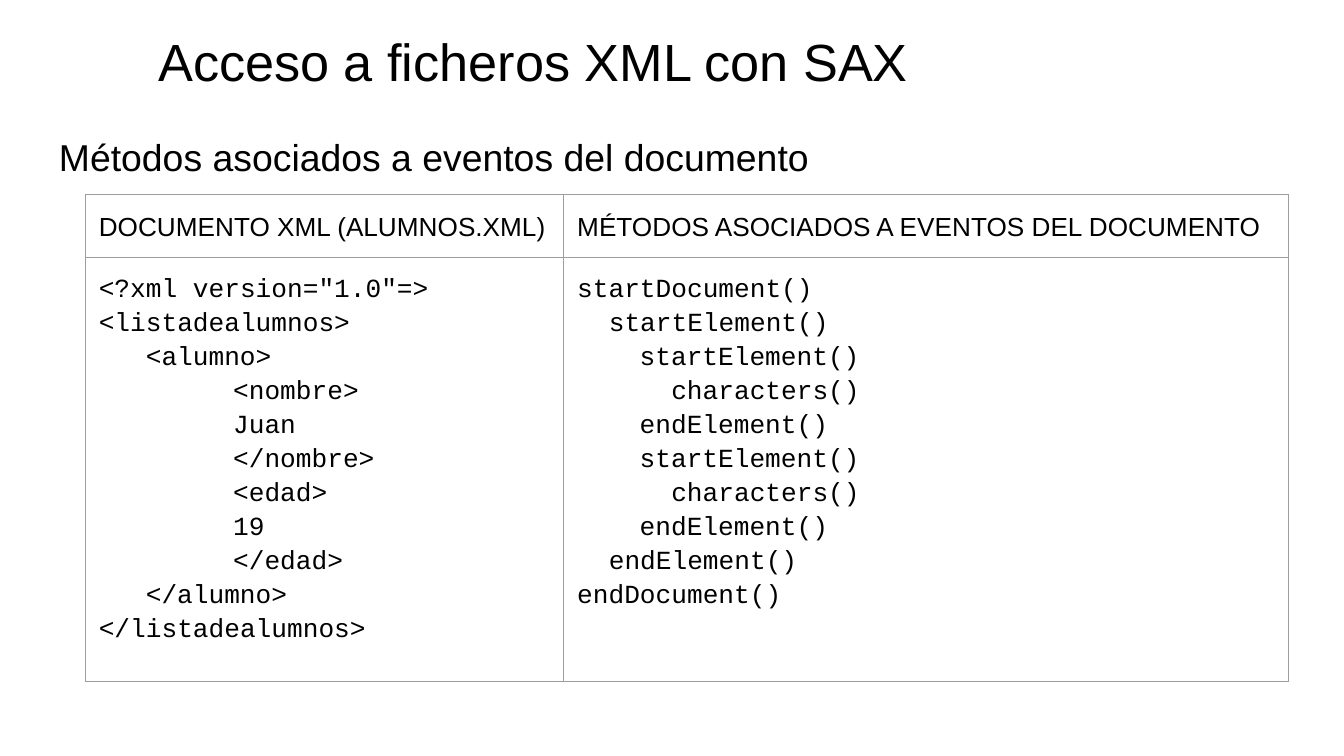
from lxml.etree import SubElement
from pptx import Presentation
from pptx.dml.color import RGBColor as Rgb
from pptx.oxml.ns import qn
from pptx.util import Pt

PX = 4572  # EMU per px, 200 px to the inch
INSET = 20
COLORS = {"text": "000000", "border": "9E9E9E"}

TITLE = "Acceso a ficheros XML con SAX"
SUBTITLE = "Métodos asociados a eventos del documento"
HEADERS = ["DOCUMENTO XML (ALUMNOS.XML)", "MÉTODOS ASOCIADOS A EVENTOS DEL DOCUMENTO"]

# Each code line is (nesting level, text)
XML_LINES = [
    (0, '<?xml version="1.0"=>'),
    (0, "<listadealumnos>"),
    (1, "<alumno>"),
    (2, "<nombre>"),
    (2, "Juan"),
    (2, "</nombre>"),
    (2, "<edad>"),
    (2, "19"),
    (2, "</edad>"),
    (1, "</alumno>"),
    (0, "</listadealumnos>"),
]
EVENT_LINES = [
    (0, "startDocument()"),
    (1, "startElement()"),
    (2, "startElement()"),
    (3, "characters()"),
    (2, "endElement()"),
    (2, "startElement()"),
    (3, "characters()"),
    (2, "endElement()"),
    (1, "endElement()"),
    (0, "endDocument()"),
]
XML_INDENTS = [0, 70, 200]
EVENT_INDENTS = [0, 47, 93, 140]
COLUMN_WIDTHS = [712, 1078]
ROW_HEIGHT = 84  # smallest height; rows grow with their text


def px(length):
    return length * PX


def write_lines(frame, lines, indents, size, font="Arial", spacing=1.15):
    """Fill a text frame with (level, text) lines, indented by level."""
    frame.word_wrap = True
    frame.text = "\n".join(text for _, text in lines)
    for para, (level, _) in zip(frame.paragraphs, lines):
        para.line_spacing = spacing
        properties = para._p.get_or_add_pPr()
        properties.set("marL", str(px(indents[level])))
        properties.set("indent", "0")
        for span in para.runs:
            span.font.size = Pt(size)
            span.font.name = font
            span.font.bold = False
            span.font.color.rgb = Rgb.from_string(COLORS["text"])


def set_margins(holder):
    for side in ("left", "top", "right", "bottom"):
        setattr(holder, f"margin_{side}", px(INSET))


def add_text(page, box, text, size, spacing):
    frame = page.shapes.add_textbox(*map(px, box)).text_frame
    set_margins(frame)
    write_lines(frame, [(0, text)], [0], size, spacing=spacing)


def style_cell(cell):
    set_margins(cell)
    properties = cell._tc.get_or_add_tcPr()
    for tag in ("a:lnL", "a:lnR", "a:lnT", "a:lnB"):
        line = SubElement(properties, qn(tag), w=str(Pt(0.75)))
        fill = SubElement(line, qn("a:solidFill"))
        SubElement(fill, qn("a:srgbClr"), val=COLORS["border"])
    cell.fill.background()


def add_event_table(page, box):
    holder = page.shapes.add_table(2, 2, *map(px, box))
    table = holder.table
    table.first_row = table.horz_banding = False
    for column, width in zip(table.columns, COLUMN_WIDTHS):
        column.width = px(width)
    for row in table.rows:
        row.height = px(ROW_HEIGHT)
    holder.height = px(box[3])
    for cell in table.iter_cells():
        style_cell(cell)

    code_columns = [(XML_LINES, XML_INDENTS), (EVENT_LINES, EVENT_INDENTS)]
    for index, (header, (lines, indents)) in enumerate(zip(HEADERS, code_columns)):
        write_lines(table.cell(0, index).text_frame, [(0, header)], [0], 14)
        write_lines(table.cell(1, index).text_frame, lines, indents, 14, "Courier New")


def main():
    deck = Presentation()
    deck.slide_width, deck.slide_height = px(2000), px(1125)
    page = deck.slides.add_slide(deck.slide_layouts[6])
    add_text(page, (216, 23, 1488, 126), TITLE, 28, 1.0)
    add_text(page, (68, 170, 1908, 922), SUBTITLE, 20, 1.15)
    add_event_table(page, (127, 290, sum(COLUMN_WIDTHS), 724))
    deck.save("out.pptx")


if __name__ == "__main__":
    main()
